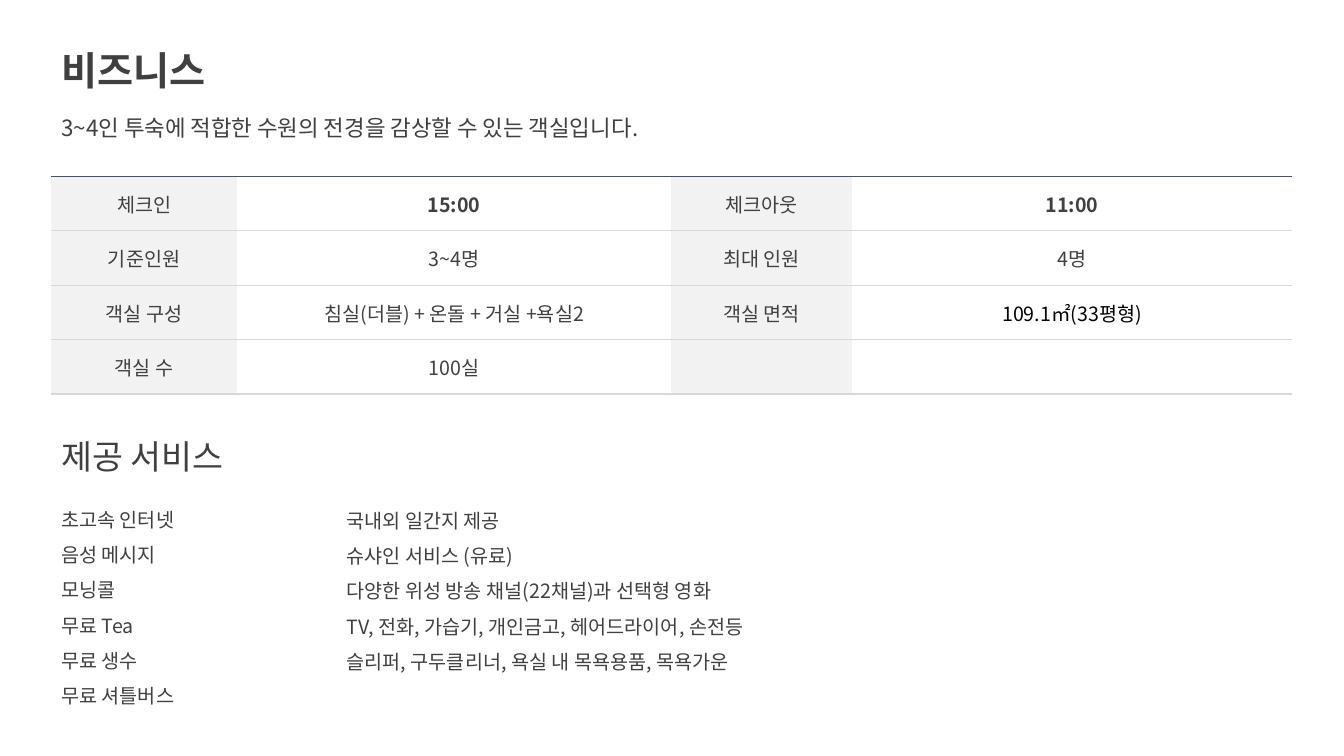
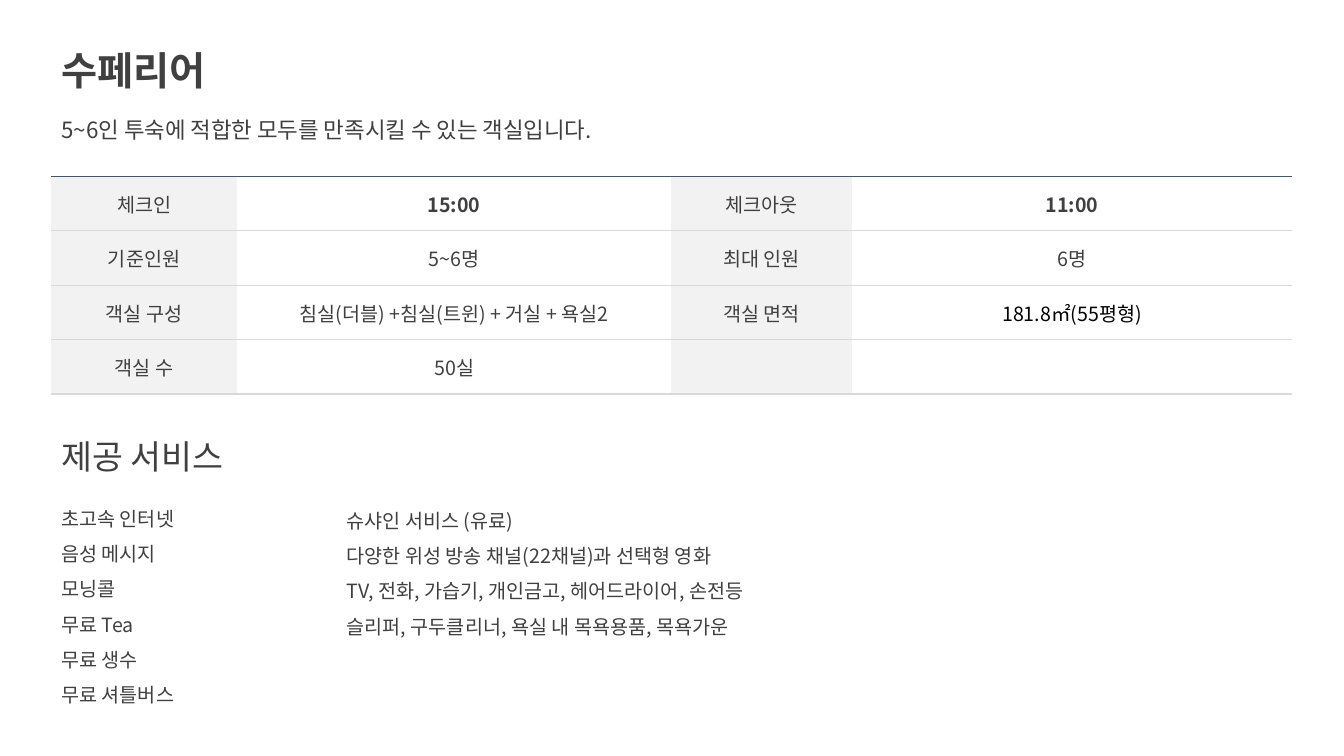
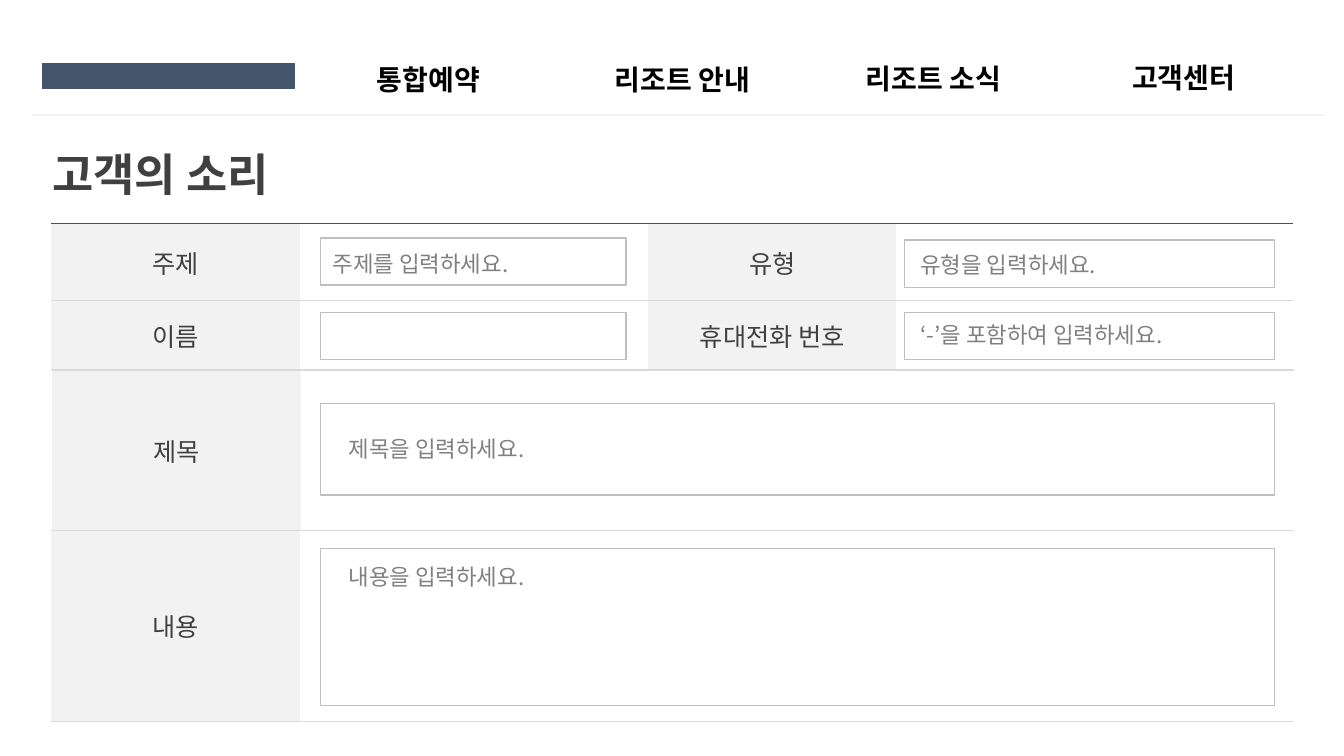
import dataclasses
import typing

import lxml.etree
import pptx
import pptx.dml.color
import pptx.enum.shapes
import pptx.enum.text
import pptx.oxml
import pptx.oxml.ns
import pptx.util

qn = pptx.oxml.ns.qn


@dataclasses.dataclass(frozen=True)
class Ink:
    size: float
    tint: str = "404040"
    bold: bool = False


@dataclasses.dataclass(frozen=True)
class Theme:
    font: str = "Noto Sans CJK KR"
    navy: str = "44546A"
    rule: str = "D9D9D9"
    pale: str = "F2F2F2"
    white: str = "FFFFFF"
    edge: str = "BFBFBF"
    title: Ink = Ink(28, bold=True)
    large: Ink = Ink(32, bold=True)
    head: Ink = Ink(24)
    intro: Ink = Ink(16)
    body: Ink = Ink(14)
    time: Ink = Ink(14, bold=True)
    area: Ink = Ink(14, "000000")
    label: Ink = Ink(18)
    hint: Ink = Ink(16, "808080")
    menu: Ink = Ink(20, "000000", True)


T = Theme()
WIDE, HIGH = 133.3, 75
UNIT = pptx.util.Inches(0.1)


class Box(typing.NamedTuple):
    x: float
    y: float
    w: float
    h: float

    def sub(self, x, y, w, h):
        return Box(self.x + x, self.y + y, w, h)

    def ems(self):
        return [round(n * UNIT) for n in self]


def tone(code):
    return pptx.dml.color.RGBColor.from_string(code)


def write(para, text, ink):
    run = para.add_run()
    run.text = text
    font = run.font
    font.size = pptx.util.Pt(ink.size)
    font.bold = ink.bold
    font.color.rgb = tone(ink.tint)
    font.name = T.font
    east = lxml.etree.Element(qn("a:ea"), typeface=T.font)
    font._element.find(qn("a:latin")).addnext(east)


def words(shapes, box, lines, ink, space=None):
    frame = shapes.add_textbox(*box.ems()).text_frame
    frame.word_wrap = True
    frame.auto_size = pptx.enum.text.MSO_AUTO_SIZE.SHAPE_TO_FIT_TEXT
    for k, line in enumerate(lines):
        para = frame.add_paragraph() if k else frame.paragraphs[0]
        if space:
            para.line_spacing = space
        write(para, line, ink)


def block(slide, box, fill, edge):
    shape = slide.shapes.add_shape(
        pptx.enum.shapes.MSO_SHAPE.RECTANGLE, *box.ems())
    shape.shadow.inherit = False
    shape.fill.solid()
    shape.fill.fore_color.rgb = tone(fill)
    shape.line.color.rgb = tone(edge)
    shape.line.width = pptx.util.Pt(1)


def border(cell, top):
    props = cell._tc.get_or_add_tcPr()
    for side, tint in (("L", None), ("R", None), ("T", top), ("B", T.rule)):
        line = lxml.etree.SubElement(props, qn("a:ln" + side), w="12700")
        if tint:
            fill = lxml.etree.SubElement(line, qn("a:solidFill"))
            lxml.etree.SubElement(fill, qn("a:srgbClr"), val=tint)
        else:
            lxml.etree.SubElement(line, qn("a:noFill"))


def grid(slide, box, cols, rows, cells, ink, top, inks={}):
    table = slide.shapes.add_table(len(rows), len(cols), *box.ems()).table
    table.first_row = table.horz_banding = False
    for col, wide in zip(table.columns, cols):
        col.width = round(wide * UNIT)
    for row, high in zip(table.rows, rows):
        row.height = round(high * UNIT)
    for r, line in enumerate(cells):
        for c, text in enumerate(line):
            cell = table.cell(r, c)
            border(cell, T.rule if r else top)
            cell.fill.solid()
            cell.fill.fore_color.rgb = tone(T.white if c % 2 else T.pale)
            cell.vertical_anchor = pptx.enum.text.MSO_ANCHOR.MIDDLE
            para = cell.text_frame.paragraphs[0]
            para.alignment = pptx.enum.text.PP_ALIGN.CENTER
            if text:
                write(para, text, inks.get((r, c), ink))


def room(slide, box, name, intro, drop, facts, perks, shift, extras):
    shapes = slide.shapes
    words(shapes, box.sub(0, 0, 39.1, 5.7), [name], T.title)
    grid(slide, box.sub(0, 13.4, box.w, 21.6), (18.4, 43.1, 17.9, 43.7),
         [5.4] * 4, facts, T.body, T.navy,
         {(0, 1): T.time, (0, 3): T.time, (2, 3): T.area})
    words(shapes, box.sub(0, 38.7, 39.1, 5), ["제공 서비스"], T.head)
    group = shapes.add_group_shape().shapes
    words(group, box.sub(0, shift, 48.9, 21.8), perks, T.body, 1.5)
    words(group, box.sub(28.3, 44.7, 66.7, 3.7 * len(extras)), extras, T.body, 1.5)
    words(shapes, box.sub(0, drop, 66.7, 3.7), [intro], T.intro)


def facts(guests, most, plan, area, count):
    return [
        ("체크인", "15:00", "체크아웃", "11:00"),
        ("기준인원", guests, "최대 인원", most),
        ("객실 구성", plan, "객실 면적", area),
        ("객실 수", count, "", ""),
    ]


def menu(slide, box):
    shapes = slide.shapes
    block(slide, box.sub(1, 1.4, 25, 2.5), T.navy, T.navy)
    for x, y, w, text in (
        (33.2, 0.8, 18.2, "통합예약"),
        (56.8, 0.8, 23.3, "리조트 안내"),
        (81.7, 0.7, 23.3, "리조트 소식"),
        (108.1, 0.6, 17.5, "고객센터"),
    ):
        words(shapes, box.sub(x, y, w, 4.4), [text], T.menu)
    x, y, w, h = box.ems()
    line = shapes.add_connector(
        pptx.enum.shapes.MSO_CONNECTOR.STRAIGHT, x, y + h, x + w, y + h)
    line.line.color.rgb = tone(T.pale)
    line.line.width = pptx.util.Pt(1.5)
    lxml.etree.SubElement(line._element.spPr, qn("a:effectLst"))


def field(slide, box, hint, dx, dy, wide):
    block(slide, box, T.white, T.edge)
    if hint:
        words(slide.shapes, box.sub(dx, dy, wide, 3.7), [hint], T.hint)


def form(slide, box):
    words(slide.shapes, box.sub(-0.9, 0, 39.1, 6.4), ["고객의 소리"], T.large)
    grid(slide, box.sub(0, 8.1, box.w, 14.5), (24.7, 34.5, 24.6, 39.3), (7.6, 6.9),
         [("주제", "", "유형", ""), ("이름", "", "휴대전화 번호", "")],
         T.label, T.navy)
    for x, y, high, name in ((0.1, 22.6, 16, "제목"), (0, 38.5, 19, "내용")):
        grid(slide, box.sub(x, y, box.w, high), (24.7, 98.4), [high],
             [(name, "")], T.label, T.rule)
    left, right = 26.7, 84.6
    for x, y, w, h, hint, dx, dy, wide in (
        (left, 9.5, 30.3, 4.7, "주제를 입력하세요.", 0.2, 0.7, 24.1),
        (right, 9.7, 36.7, 4.7, "유형을 입력하세요.", 0.6, 0.6, 24.1),
        (left, 16.9, 30.3, 4.7, "", 0, 0, 0),
        (right, 16.9, 36.7, 4.7, "‘-’을 포함하여 입력하세요.", 0.6, 0.4, 36),
        (left, 25.9, 94.6, 9.1, "제목을 입력하세요.", 1.8, 2.7, 45.1),
        (left, 40.3, 94.6, 15.6, "내용을 입력하세요.", 1.8, 1, 45.1),
    ):
        field(slide, box.sub(x, y, w, h), hint, dx, dy, wide)


PERKS = ["초고속 인터넷", "음성 메시지", "모닝콜", "무료 Tea", "무료 생수", "무료 셔틀버스"]
EXTRAS = [
    "국내외 일간지 제공",
    "슈샤인 서비스 (유료)",
    "다양한 위성 방송 채널(22채널)과 선택형 영화",
    "TV, 전화, 가습기, 개인금고, 헤어드라이어, 손전등",
    "슬리퍼, 구두클리너, 욕실 내 목욕용품, 목욕가운",
]


def main():
    deck = pptx.Presentation()
    deck.slide_width = round(WIDE * UNIT)
    deck.slide_height = HIGH * UNIT
    blank = deck.slide_layouts[6]
    page = Box(5.1, 4.1, 123.2, 66.4)
    room(deck.slides.add_slide(blank), page, "비즈니스",
         "3~4인 투숙에 적합한 수원의 전경을 감상할 수 있는 객실입니다.", 6.7,
         facts("3~4명", "4명", "침실(더블) + 온돌 + 거실 +욕실2",
               "109.1㎡(33평형)", "100실"),
         PERKS, 44.6, EXTRAS)
    room(deck.slides.add_slide(blank), page, "수페리어",
         "5~6인 투숙에 적합한 모두를 만족시킬 수 있는 객실입니다.", 6.9,
         facts("5~6명", "6명", "침실(더블) +침실(트윈) + 거실 + 욕실2",
               "181.8㎡(55평형)", "50실"),
         PERKS, 44.5, EXTRAS[1:])
    voice = deck.slides.add_slide(blank)
    menu(voice, Box(3.2, 4.9, 128.2, 6.5))
    form(voice, Box(5.1, 14.1, 123, 57.5))
    deck.save("out.pptx")


if __name__ == "__main__":
    main()
